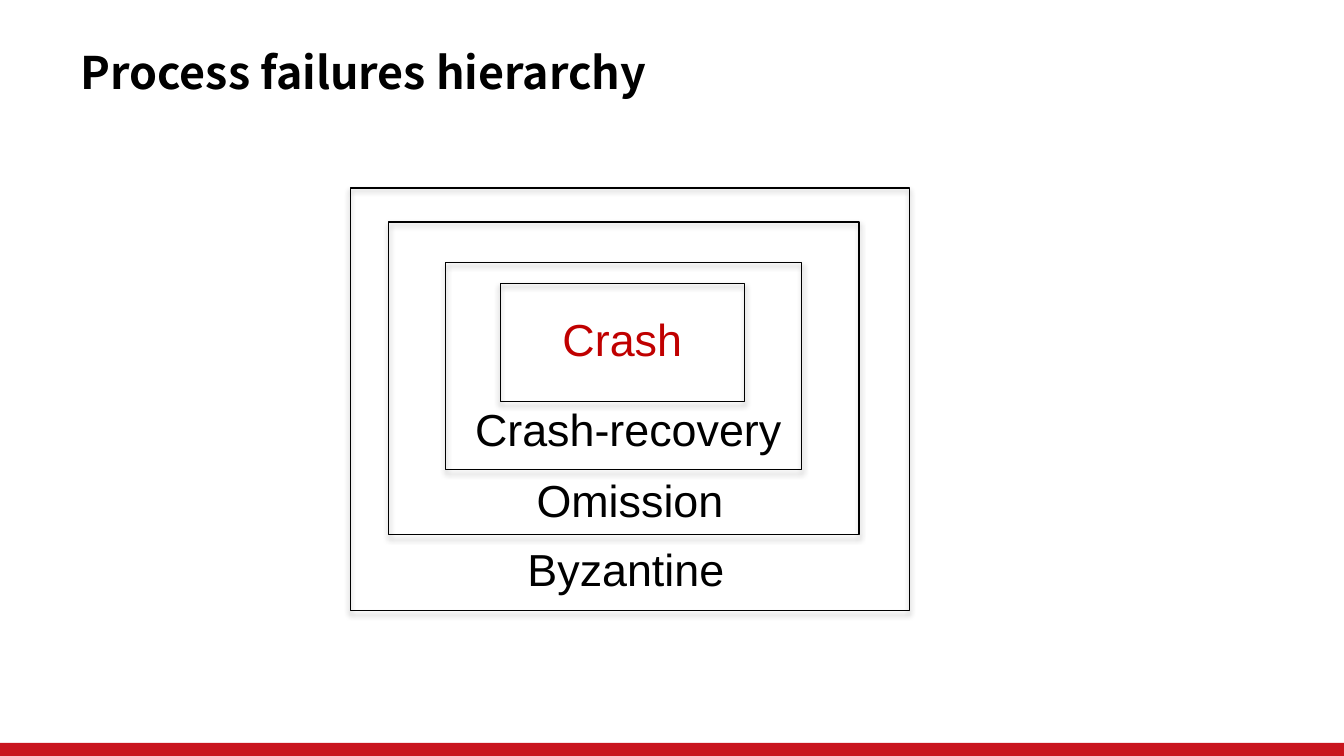
from lxml.etree import SubElement
from pptx import Presentation
from pptx.dml.color import RGBColor
from pptx.enum.shapes import MSO_SHAPE
from pptx.enum.text import MSO_ANCHOR, PP_ALIGN
from pptx.oxml.ns import qn
from pptx.util import Pt

SLIDE_WIDTH, SLIDE_HEIGHT = 720, 405
FOOTER_HEIGHT = 7
LABEL_HEIGHT = 36
BLACK, RED, FOOTER_RED = "000000", "C00000", "C9151E"

TITLE = "Process failures hierarchy"
TITLE_PLACE = (36, 21, 501, 35)

# Innermost class first: label, colour, label (left, top, width), box place
FAILURES = [
    ("Crash", RED, (293.8, 163.4, 79), (268, 152, 131, 63)),
    ("Crash-recovery", BLACK, (243.5, 211.7, 186), (238.8, 140.6, 190.7, 111)),
    ("Omission", BLACK, (279.5, 249.8, 116), (208.2, 119, 252, 167.4)),
    ("Byzantine", BLACK, (239.8, 286.6, 191), (187.7, 100.7, 299.5, 226.3)),
]


def rgb(hex_colour):
    return RGBColor.from_string(hex_colour)


def points(place):
    return [Pt(length) for length in place]


def write(holder, text, colour, font_name, bold=False, align=PP_ALIGN.LEFT,
          wrap=False):
    frame = holder.text_frame
    frame.text = text
    frame.word_wrap = wrap
    paragraph = frame.paragraphs[0]
    paragraph.alignment = align
    font = paragraph.runs[0].font
    for attribute, value in dict(name=font_name, size=Pt(24), bold=bold).items():
        setattr(font, attribute, value)
    font.color.rgb = rgb(colour)


def add_soft_shadow(shape):
    """Give the shape a faint shadow that falls straight down."""
    shape.shadow.inherit = False
    effects = shape._element.spPr.find(qn("a:effectLst"))
    shadow = SubElement(effects, qn("a:outerShdw"), blurRad=str(Pt(3.1)),
                        dist=str(Pt(1.8)), dir="5400000", rotWithShape="0")
    colour = SubElement(shadow, qn("a:srgbClr"), val=BLACK)
    SubElement(colour, qn("a:alpha"), val="35000")


def add_box(shapes, place):
    box = shapes.add_shape(MSO_SHAPE.RECTANGLE, *points(place))
    box.fill.background()
    box.line.color.rgb = rgb(BLACK)
    box.line.width = Pt(0.75)
    add_soft_shadow(box)


def add_footer(shapes):
    footer = shapes.add_shape(MSO_SHAPE.RECTANGLE, *points(
        (0, SLIDE_HEIGHT - FOOTER_HEIGHT, SLIDE_WIDTH, FOOTER_HEIGHT)))
    footer.fill.solid()
    footer.fill.fore_color.rgb = rgb(FOOTER_RED)
    footer.line.fill.background()
    footer.shadow.inherit = False


def add_title(title):
    for attribute, value in zip(("left", "top", "width", "height"),
                                points(TITLE_PLACE)):
        setattr(title, attribute, value)
    write(title, TITLE, BLACK, "Noto Sans CJK SC", bold=True)
    title.text_frame.vertical_anchor = MSO_ANCHOR.MIDDLE


def main():
    deck = Presentation()
    deck.slide_width, deck.slide_height = points((SLIDE_WIDTH, SLIDE_HEIGHT))
    shapes = deck.slides.add_slide(deck.slide_layouts[5]).shapes
    add_footer(shapes)
    add_title(shapes.title)
    for name, colour, label_place, box_place in FAILURES:
        add_box(shapes, box_place)
        label = shapes.add_textbox(*points((*label_place, LABEL_HEIGHT)))
        write(label, name, colour, "Arial", align=PP_ALIGN.CENTER, wrap=True)
    deck.save("out.pptx")


if __name__ == "__main__":
    main()
